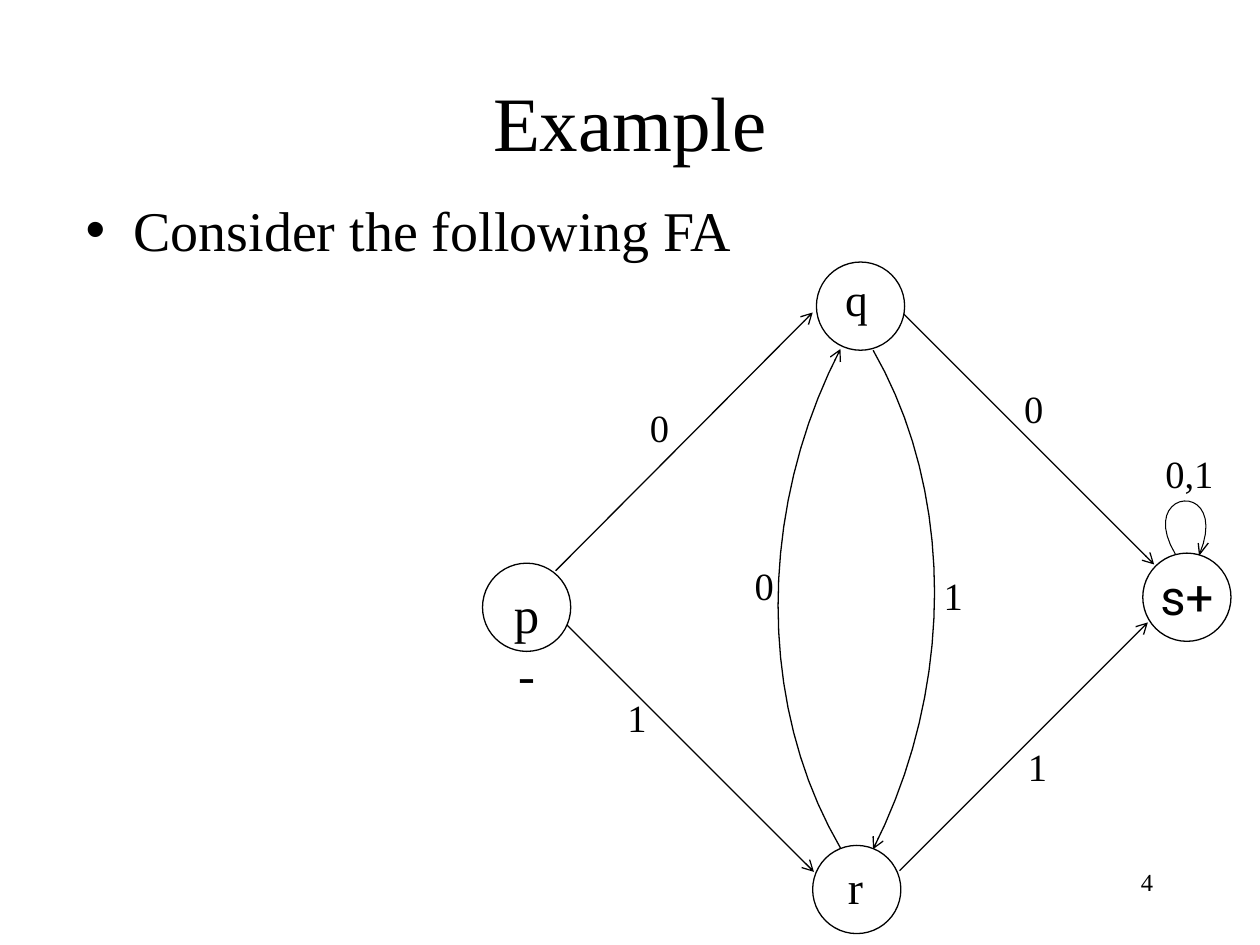
from lxml import etree
from pptx import Presentation
from pptx.dml.color import RGBColor
from pptx.enum.shapes import MSO_CONNECTOR, MSO_SHAPE
from pptx.enum.text import MSO_ANCHOR, PP_ALIGN
from pptx.oxml.ns import qn
from pptx.util import Inches, Pt

CENTER, LEFT, RIGHT = PP_ALIGN.CENTER, PP_ALIGN.LEFT, PP_ALIGN.RIGHT
TOP, MIDDLE = MSO_ANCHOR.TOP, MSO_ANCHOR.MIDDLE
OVAL, STRAIGHT = MSO_SHAPE.OVAL, MSO_CONNECTOR.STRAIGHT

THEME = {
    "font": "Times New Roman", "accent_font": "Roboto",
    "ink": RGBColor(0, 0, 0), "paper": RGBColor(255, 255, 255),
    "title": 44, "body": 32, "start": 29, "final": 28, "state": 26,
    "edge": 22, "number": 14, "line": 0.75, "loop_line": 0.6,
}
DIAMETER = 0.7
CURVE_STEPS = 20

TITLE = ("Example", (0.75, 0.33, 8.5, 1.25))
BODY = ("Consider the following FA", (0.58, 1.5, 8.5, 4.92))

# left, top, text held inside the circle
STATES = [(3.83, 4.47, "p-"), (6.48, 2.08, ""), (6.45, 6.71, ""), (9.07, 4.39, "")]

EDGES = [  # start, end
    ((4.41, 4.53), (6.45, 2.48)),
    ((7.16, 2.48), (9.16, 4.48)),
    ((4.46, 4.92), (6.46, 6.92)),
    ((7.14, 6.91), (9.11, 4.94)),
]
ARCS = [  # start, two control points, end
    ((6.93, 2.78), (7.58, 3.91), (7.58, 5.46), (6.93, 6.74)),
    ((6.67, 6.73), (6.01, 5.6), (6.01, 4.05), (6.67, 2.77)),
]
LOOP = ((9.33, 4.4), (9.01, 3.87), (9.77, 3.8), (9.52, 4.4))
LOOP_HEAD = [(9.51, 4.31), (9.52, 4.4), (9.59, 4.31)]

LABELS = [  # text, box, size, font, alignment
    ("0", (5.06, 3.16, 0.98, 0.67), "edge", "font", LEFT),
    ("1", (4.88, 5.46, 0.65, 0.5), "edge", "font", LEFT),
    ("0", (8.03, 3.01, 0.98, 0.67), "edge", "font", LEFT),
    ("1", (8.06, 5.85, 0.65, 0.5), "edge", "font", LEFT),
    ("1", (7.39, 4.49, 0.49, 0.5), "edge", "font", LEFT),
    ("0", (5.89, 4.41, 0.98, 0.67), "edge", "font", LEFT),
    ("0,1", (9.15, 3.52, 0.71, 0.51), "edge", "font", LEFT),
    ("q", (6.61, 2.1, 0.98, 0.67), "state", "font", LEFT),
    ("r", (6.63, 6.77, 0.98, 0.67), "state", "font", LEFT),
    ("s+", (8.93, 4.45, 0.98, 0.5), "final", "accent_font", CENTER),
    ("4", (7.17, 6.83, 2.08, 0.5), "number", "font", RIGHT),
]


def inches(values):
    return [Inches(v) for v in values]


def write(sp, text, size, font="font", align=LEFT, anchor=TOP):
    tf = sp.text_frame
    tf.word_wrap = True
    tf.vertical_anchor = anchor
    p = tf.paragraphs[0]
    p.alignment = align
    r = p.add_run()
    r.text = text
    for name, value in {"name": THEME[font], "size": Pt(THEME[size])}.items():
        setattr(r.font, name, value)
    r.font.color.rgb = THEME["ink"]
    return p


def place(sp, box):
    for name, value in zip(("left", "top", "width", "height"), inches(box)):
        setattr(sp, name, value)


def ink_line(sp, width="line", arrow=False):
    sp.line.color.rgb = THEME["ink"]
    sp.line.width = Pt(THEME[width])
    if arrow:
        etree.SubElement(sp.line._get_or_add_ln(), qn("a:tailEnd"), type="arrow")


def bezier(a, b, c, d):
    """Points along a cubic curve, as (x, y) pairs."""
    for i in range(CURVE_STEPS + 1):
        t = i / CURVE_STEPS
        u = 1 - t
        weights = (u**3, 3 * u * u * t, 3 * u * t * t, t**3)
        yield tuple(sum(w * q[k] for w, q in zip(weights, (a, b, c, d)))
                    for k in (0, 1))


def add_open_path(slide, points, width="line", arrow=False):
    start, *rest = [tuple(inches(pt)) for pt in points]
    builder = slide.shapes.build_freeform(*start)
    builder.add_line_segments(rest, close=False)
    sp = builder.convert_to_shape()
    sp.fill.background()
    sp.shadow.inherit = False
    ink_line(sp, width, arrow)


def add_edge(slide, start, end):
    sp = slide.shapes.add_connector(STRAIGHT, *inches(start + end))
    ink_line(sp, arrow=True)
    etree.SubElement(sp._element.spPr, qn("a:effectLst"))


def add_state(slide, left, top, text):
    sp = slide.shapes.add_shape(OVAL, *inches((left, top, DIAMETER, DIAMETER)))
    sp.shadow.inherit = False
    sp.fill.solid()
    sp.fill.fore_color.rgb = THEME["paper"]
    ink_line(sp)
    if text:
        write(sp, text, "start", align=CENTER)


def main():
    prs = Presentation()
    prs.slide_width, prs.slide_height = inches((10, 7.5))
    slide = prs.slides.add_slide(prs.slide_layouts[1])

    title, body = slide.placeholders
    place(title, TITLE[1])
    write(title, TITLE[0], "title", align=CENTER, anchor=MIDDLE)
    place(body, BODY[1])
    p = write(body, BODY[0], "body")
    p.space_before = Pt(8)
    pPr = p._p.get_or_add_pPr()
    pPr.set("marL", str(Inches(0.38)))
    pPr.set("indent", str(Inches(-0.38)))
    etree.SubElement(pPr, qn("a:buChar"), char="•")

    for start, end in EDGES:
        add_edge(slide, start, end)
    for state in STATES:
        add_state(slide, *state)
    for arc in ARCS:
        add_open_path(slide, bezier(*arc), arrow=True)
    add_open_path(slide, bezier(*LOOP), "loop_line")
    add_open_path(slide, LOOP_HEAD)
    for text, box, size, font, align in LABELS:
        write(slide.shapes.add_textbox(*inches(box)), text, size, font, align)

    prs.save("out.pptx")


if __name__ == "__main__":
    main()
